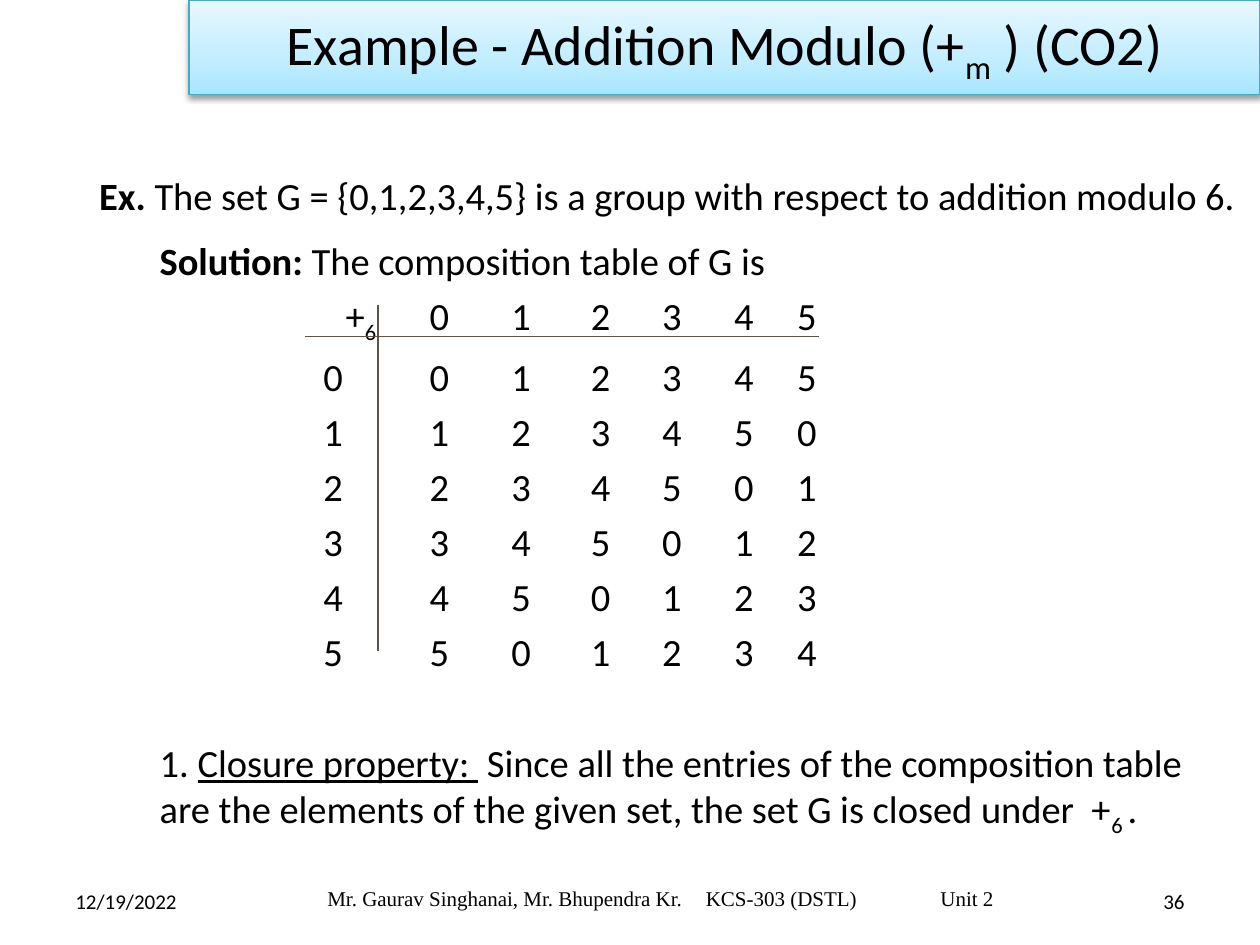
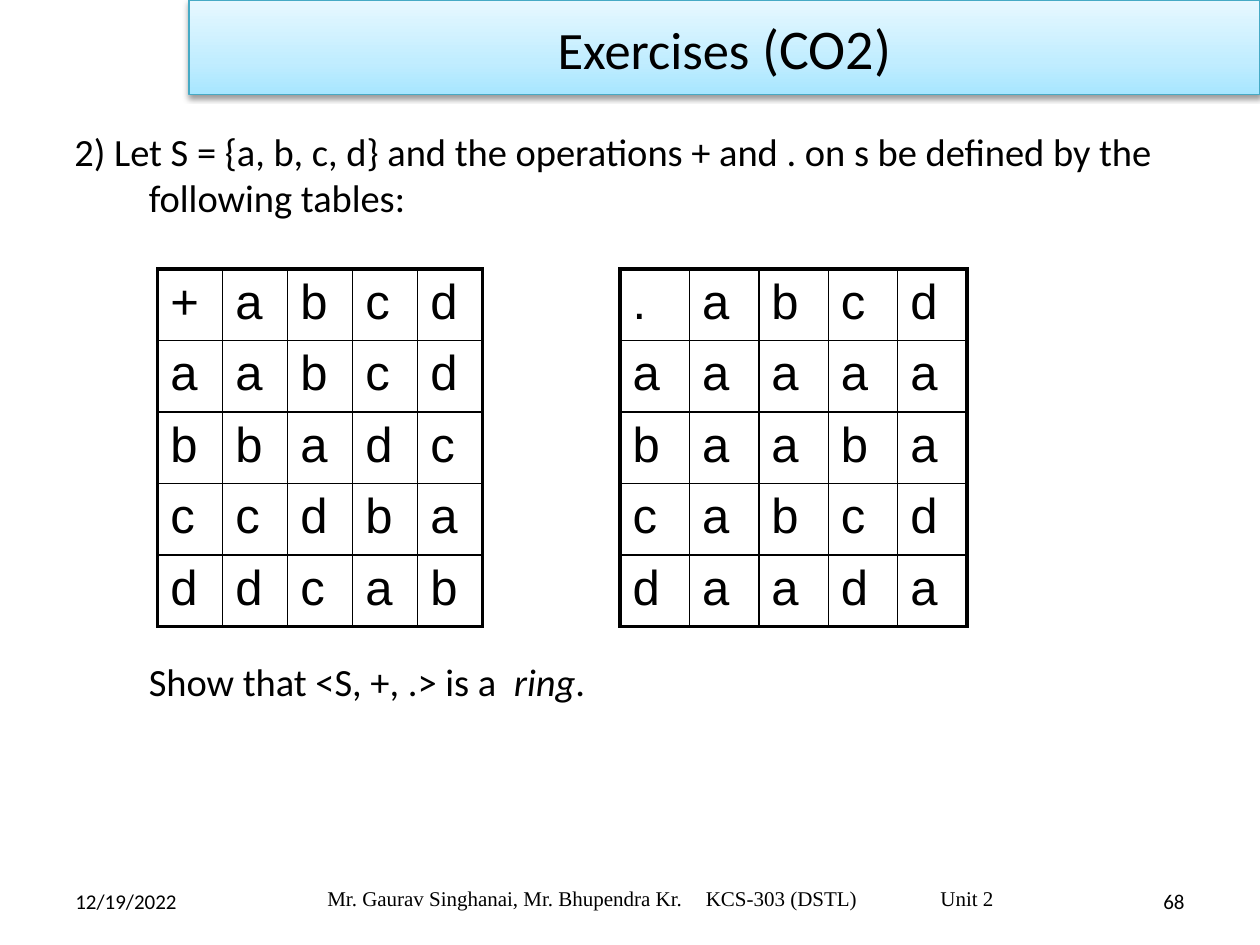
from copy import deepcopy

from lxml.etree import SubElement
from pptx import Presentation
from pptx.dml.color import RGBColor
from pptx.enum.shapes import MSO_CONNECTOR, MSO_SHAPE
from pptx.enum.text import MSO_ANCHOR, PP_ALIGN
from pptx.oxml.ns import qn
from pptx.util import Cm, Pt

BLACK = RGBColor(0x00, 0x00, 0x00)
RULE_BROWN = RGBColor(0x5B, 0x52, 0x49)
BAND_EDGE = RGBColor(0x46, 0xAA, 0xC5)
BAND_STOPS = (
    (0, RGBColor(0xA7, 0xE6, 0xFF)),
    (0.35, RGBColor(0xC1, 0xED, 0xFF)),
    (1, RGBColor(0xE7, 0xF8, 0xFF)),
)
SUBSCRIPT = {"baseline": "-25000"}
LABEL_TAB, OPERATOR_TAB = 3.3, 3.75
COLUMN_TABS = (5.44, 7.09, 8.69, 10.13, 11.58, 12.85)
PLUS_ROWS = ("+abcd", "aabcd", "bbadc", "ccdba", "ddcab")
DOT_ROWS = (".abcd", "aaaaa", "baaba", "cabcd", "daada")


class Lecture:
    """Holds the deck, its text style and the slide being built."""

    def __init__(self):
        self.deck = Presentation()
        self.deck.slide_width, self.deck.slide_height = Cm(25.4), Cm(19.05)
        self.base = {"name": "Calibri", "size": Pt(22), "bold": False}
        self.page = None

    def new_page(self, title, number):
        self.page = self.deck.slides.add_slide(self.deck.slide_layouts[6])
        self.band(title)
        small = {"size": Pt(12)}
        middle = {"vertical_anchor": MSO_ANCHOR.MIDDLE}
        self.text(1.27, 17.65, 5.92, 1.02, [{"runs": [("12/19/2022", small)]}], middle)
        self.text(18.21, 17.65, 5.92, 1.02,
                  [{"runs": [(number, small)], "alignment": PP_ALIGN.RIGHT}], middle)
        credit = "Mr. Gaurav Singhanai, Mr. Bhupendra Kr.\tKCS-303 (DSTL)\tUnit 2"
        serif = {"size": Pt(12), "name": "Times New Roman"}
        self.text(6.35, 17.6, 13.97, 1.02,
                  [{"runs": [(credit, serif)], "tabs": (7.63, 12.36)}], middle)

    def band(self, runs):
        band = self.page.shapes.add_shape(
            MSO_SHAPE.RECTANGLE, Cm(3.81), 0, Cm(21.59), Cm(1.91))
        band.fill.gradient()
        band.fill.gradient_angle = 90
        stops = band._element.spPr.find(".//" + qn("a:gsLst"))
        stops.append(deepcopy(stops[0]))
        for stop, (position, color) in zip(band.fill.gradient_stops, BAND_STOPS):
            stop.position, stop.color.rgb = position, color
        band.line.color.rgb, band.line.width = BAND_EDGE, Pt(0.75)
        band.shadow.inherit = False
        effects = band._element.spPr.find(qn("a:effectLst"))
        shadow = SubElement(effects, qn("a:outerShdw"), blurRad="40000",
                            dist="20000", dir="5400000", rotWithShape="0")
        color = SubElement(shadow, qn("a:srgbClr"), val=str(BLACK))
        SubElement(color, qn("a:alpha"), val="38000")
        self.fill_frame(band.text_frame,
                        [{"runs": runs, "alignment": PP_ALIGN.CENTER}],
                        {"vertical_anchor": MSO_ANCHOR.MIDDLE})

    def text(self, left, top, width, height, paragraphs, frame_format=None):
        box = self.page.shapes.add_textbox(Cm(left), Cm(top), Cm(width), Cm(height))
        self.fill_frame(box.text_frame, paragraphs, frame_format or {})

    def fill_frame(self, frame, paragraphs, frame_format):
        frame.word_wrap = True
        for name, value in frame_format.items():
            setattr(frame, name, value)
        for index, content in enumerate(paragraphs):
            para = frame.add_paragraph() if index else frame.paragraphs[0]
            self.paragraph(para, **content)

    def paragraph(self, para, runs, tabs=(), hanging=0, **layout):
        properties = para._p.get_or_add_pPr()
        if tabs:
            stops = SubElement(properties, qn("a:tabLst"))
            for position in tabs:
                SubElement(stops, qn("a:tab"), pos=str(Cm(position)), algn="l")
        if hanging:
            properties.set("marL", str(Cm(hanging)))
            properties.set("indent", str(-Cm(hanging)))
        for name, value in layout.items():
            setattr(para, name, value)
        for words, changes in runs:
            span = para.add_run()
            span.text = words
            span.font.color.rgb = BLACK
            for name, value in {**self.base, **changes}.items():
                if name == "baseline":
                    span._r.get_or_add_rPr().set(name, value)
                else:
                    setattr(span.font, name, value)

    def rule(self, x1, y1, x2, y2):
        line = self.page.shapes.add_connector(
            MSO_CONNECTOR.STRAIGHT, Cm(x1), Cm(y1), Cm(x2), Cm(y2))
        line.line.color.rgb, line.line.width = RULE_BROWN, Pt(0.75)
        SubElement(line._element.spPr, qn("a:effectLst"))

    def operation_table(self, left, top, cell_width, cell_height, rows):
        size = len(rows)
        table = self.page.shapes.add_table(
            size, size, Cm(left), Cm(top),
            Cm(cell_width * size), Cm(cell_height * size)).table
        table.first_row = table.horz_banding = False
        for column in table.columns:
            column.width = Cm(cell_width)
        last = size - 1
        for y, letters in enumerate(rows):
            table.rows[y].height = Cm(cell_height)
            for x, letter in enumerate(letters):
                cell = table.cell(y, x)
                outer = {"L": x == 0, "R": x == last, "T": y == 0, "B": y == last}
                self.borders(cell, outer)
                cell.fill.background()
                style = {"name": "Arial", "size": Pt(28)}
                self.paragraph(cell.text_frame.paragraphs[0], [(letter, style)])

    def borders(self, cell, outer):
        properties = cell._tc.get_or_add_tcPr()
        for side, thick in outer.items():
            edge = SubElement(properties, qn("a:ln" + side),
                              w=str(Pt(2.25 if thick else 1)))
            fill = SubElement(edge, qn("a:solidFill"))
            SubElement(fill, qn("a:srgbClr"), val=str(BLACK))


def addition_page(lecture):
    large, bold, gap = {"size": Pt(32)}, {"bold": True}, Pt(5)
    lecture.new_page([("Example - Addition Modulo (+", large),
                      ("m", {**large, **SUBSCRIPT}), (" ) (CO2)", large)], "36")
    statement = "The set G = {0,1,2,3,4,5} is a group with respect to addition modulo 6."
    lecture.text(1.6, 2.34, 23.7, 3.18,
                 [{"runs": [("Ex. ", bold), (statement, {})],
                   "alignment": PP_ALIGN.CENTER}],
                 {"vertical_anchor": MSO_ANCHOR.MIDDLE})
    order = len(COLUMN_TABS)
    heading = "".join(f"\t{value}" for value in range(order))
    body = [
        {"runs": [("Solution: ", bold), ("The composition table of G is", {})]},
        {"runs": [("\t+", {}), ("6", SUBSCRIPT), (heading, {})],
         "tabs": (OPERATOR_TAB, *COLUMN_TABS), "space_before": gap},
    ]
    for row in range(order):
        sums = "".join(f"\t{(row + column) % order}" for column in range(order))
        body.append({"runs": [(f"\t{row}{sums}", {})],
                     "tabs": (LABEL_TAB, *COLUMN_TABS), "space_before": gap})
    closure = (" Since all the entries of the composition table are the elements "
               "of the given set, the set G is closed under  +")
    body.append({"runs": [("1. ", {}), ("Closure property: ", {"underline": True}),
                          (closure, {}), ("6 ", SUBSCRIPT), (".", {})],
                 "space_before": Pt(37)})
    lecture.text(2.97, 4.66, 21.59, 11.43, body)
    lecture.rule(7.62, 6.15, 7.62, 13.13)
    lecture.rule(6.15, 6.78, 16.51, 6.78)


def exercise_page(lecture):
    lecture.new_page([("Exercises", {"size": Pt(30)}),
                      (" (CO2)", {"size": Pt(32)})], "68")
    question = ("2) Let S = {a, b, c, d} and the operations + and . on s "
                "be defined by the following tables:")
    lecture.text(1.25, 2.46, 22.88, 2.2, [{"runs": [(question, {})], "hanging": 1.5}])
    lecture.operation_table(3.18, 5.42, 1.31, 1.44, PLUS_ROWS)
    lecture.operation_table(12.5, 5.42, 1.4, 1.4, DOT_ROWS)
    lecture.text(2.75, 13.15, 21.38, 1.2,
                 [{"runs": [("Show that <S, +, .> is a ", {}),
                            (" ring", {"italic": True}), (".", {})]}])


def main():
    lecture = Lecture()
    addition_page(lecture)
    exercise_page(lecture)
    lecture.deck.save("out.pptx")


if __name__ == "__main__":
    main()
